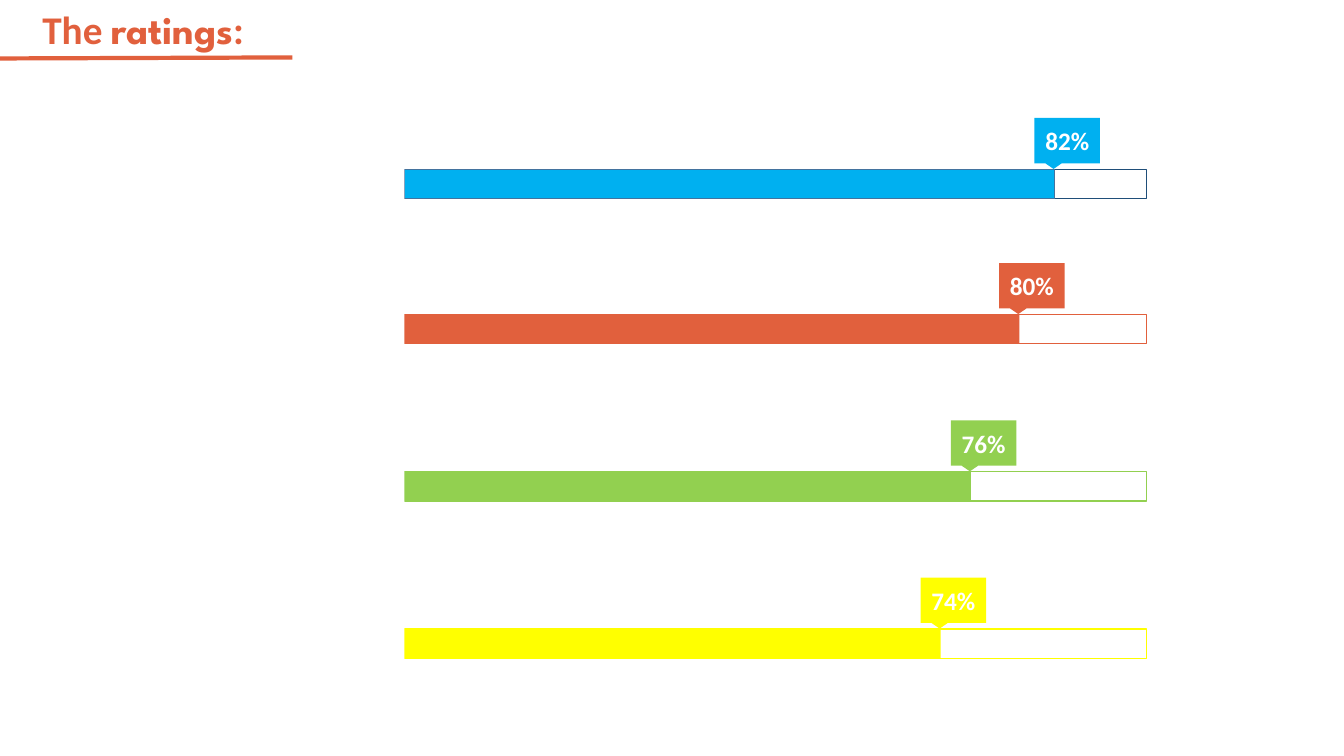
import dataclasses

import lxml.etree
import pptx
import pptx.dml.color
import pptx.enum.shapes
import pptx.enum.text
import pptx.oxml.ns
import pptx.util

Inches = pptx.util.Inches
SHAPE = pptx.enum.shapes.MSO_SHAPE
COLORS = {
    "white": "FFFFFF",
    "orange": "E1603D",
    "blue": "00B0F0",
    "steel": "43739E",
    "navy": "1F4E79",
    "green": "92D050",
    "yellow": "FFFF00",
}
BAR_LEFT, BAR_WIDTH, BAR_HEIGHT = 4.01, 7.36, 0.29
TAG_WIDTH, TAG_HEIGHT, TAG_SHIFT, TAG_RISE = 0.65, 0.45, 0.2, 0.51


@dataclasses.dataclass
class Rating:
    """One rating bar with its percentage tag."""
    label: str
    top: float
    width: float
    color: str
    track_line: str
    fill_line: str = ""


RATINGS = [
    Rating("82%", 1.68, 6.45, "blue", "navy", "steel"),
    Rating("80%", 3.12, 6.1, "orange", "orange"),
    Rating("76%", 4.68, 5.62, "green", "green"),
    Rating("74%", 6.24, 5.32, "yellow", "yellow"),
]


def rgb(name: str) -> pptx.dml.color.RGBColor:
    """Return the named colour."""
    return pptx.dml.color.RGBColor.from_string(COLORS[name])


def add_run(p, text: str, color: str, **formats) -> None:
    """Add a formatted run to a paragraph."""
    r = p.add_run()
    r.text = text
    r.font.color.rgb = rgb(color)
    for key, value in formats.items():
        setattr(r.font, key, value)


def add_box(s, kind, left: float, top: float, width: float, height: float,
            fill: str, line: str = ""):
    """Add a filled shape, outlined when a line colour is given."""
    sp = s.shapes.add_shape(kind, Inches(left), Inches(top), Inches(width), Inches(height))
    sp.shadow.inherit = False
    sp.fill.solid()
    sp.fill.fore_color.rgb = rgb(fill)
    if line:
        sp.line.color.rgb = rgb(line)
        sp.line.width = pptx.util.Pt(1)
    else:
        sp.line.fill.background()
    return sp


def add_title(s) -> None:
    """Fill the title and underline it."""
    sp = s.shapes.title
    box = {"left": 0.32, "top": 0, "width": 2.38, "height": 0.57}
    for key, value in box.items():
        setattr(sp, key, Inches(value))
    tf = sp.text_frame
    formats = {
        "word_wrap": False,
        "auto_size": pptx.enum.text.MSO_AUTO_SIZE.SHAPE_TO_FIT_TEXT,
        "vertical_anchor": pptx.enum.text.MSO_ANCHOR.TOP,
    }
    for key, value in formats.items():
        setattr(tf, key, value)
    p = tf.paragraphs[0]
    p.alignment = pptx.enum.text.PP_ALIGN.LEFT
    for text, font in (("The ", "Calibri"), ("ratings", "League Spartan"), (":", "Calibri")):
        add_run(p, text, "orange", name=font, size=pptx.util.Pt(28), bold=True)
    rule = s.shapes.add_connector(pptx.enum.shapes.MSO_CONNECTOR.STRAIGHT,
                                  Inches(0), Inches(0.58), Inches(2.9), Inches(0.57))
    rule.line.color.rgb = rgb("orange")
    rule.line.width = pptx.util.Pt(3)
    lxml.etree.SubElement(rule._element.spPr, pptx.oxml.ns.qn("a:effectLst"))


def add_rating(s, rating: Rating) -> None:
    """Draw a rating's track, filled part and tag."""
    add_box(s, SHAPE.RECTANGLE, BAR_LEFT, rating.top, BAR_WIDTH, BAR_HEIGHT,
            "white", rating.track_line)
    add_box(s, SHAPE.RECTANGLE, BAR_LEFT, rating.top, rating.width, BAR_HEIGHT,
            rating.color, rating.fill_line)
    tag = add_box(s, SHAPE.RECTANGULAR_CALLOUT, BAR_LEFT + rating.width - TAG_SHIFT,
                  rating.top - TAG_RISE, TAG_WIDTH, TAG_HEIGHT, rating.color)
    tf = tag.text_frame
    tf.word_wrap = False
    tf.vertical_anchor = pptx.enum.text.MSO_ANCHOR.MIDDLE
    p = tf.paragraphs[0]
    p.alignment = pptx.enum.text.PP_ALIGN.CENTER
    add_run(p, rating.label, "white", name="Calibri", size=pptx.util.Pt(18), bold=True)


def main() -> None:
    """Build and save the ratings slide."""
    prs = pptx.Presentation()
    prs.slide_width, prs.slide_height = Inches(13.33), Inches(7.5)
    s = prs.slides.add_slide(prs.slide_layouts.get_by_name("Title Only"))
    add_title(s)
    for rating in RATINGS:
        add_rating(s, rating)
    add_box(s, SHAPE.RECTANGLE, 0, 0.83, BAR_LEFT, 5.97, "white")
    prs.save("out.pptx")


if __name__ == "__main__":
    main()
